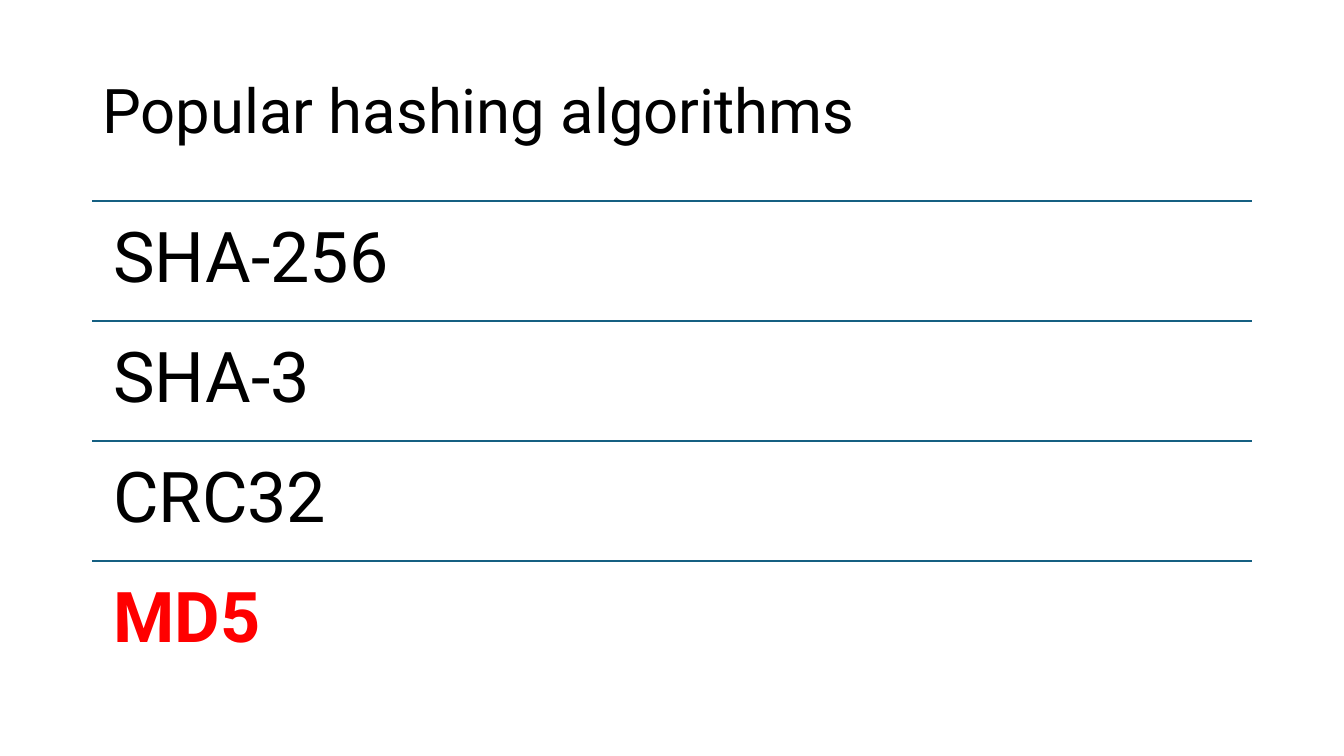
from lxml import etree
from pptx import Presentation, util as u
from pptx.dml.color import RGBColor
from pptx.enum import shapes, text
from pptx.oxml.ns import qn

COLOURS = {"text": "000000", "warning": "FF0000", "rule": "156082"}
LEFT, WIDTH = 2.33, 29.21
LIST_TOP, ROW_HEIGHT = 5.07, 3.02
ALGORITHMS = ["SHA-256", "SHA-3", "CRC32", "MD5"]
BROKEN = {"MD5"}


def set_all(target, values):
    for name, value in values.items():
        setattr(target, name, value)


def add_text(s, words, top, height, size, colour="text", bold=False,
             anchor=text.MSO_ANCHOR.TOP, insets=(0.25, 0.13)):
    """Add a full-width text box; insets are horizontal and vertical, in cm."""
    sp = s.shapes.add_textbox(u.Cm(LEFT), u.Cm(top), u.Cm(WIDTH), u.Cm(height))
    tf = sp.text_frame
    across, down = map(u.Cm, insets)
    set_all(tf, {"word_wrap": True, "vertical_anchor": anchor,
                 "margin_left": across, "margin_right": across,
                 "margin_top": down, "margin_bottom": down})
    p = tf.paragraphs[0]
    p.line_spacing = 0.9
    r = p.add_run()
    r.text = words
    set_all(r.font, {"name": "Roboto", "size": u.Pt(size), "bold": bold})
    r.font.color.rgb = RGBColor.from_string(COLOURS[colour])


def add_rule(s, top):
    line = s.shapes.add_connector(
        shapes.MSO_CONNECTOR.STRAIGHT,
        u.Cm(LEFT), u.Cm(top), u.Cm(LEFT + WIDTH), u.Cm(top))
    line.line.width = u.Pt(1.5)
    line.line.color.rgb = RGBColor.from_string(COLOURS["rule"])
    etree.SubElement(line._element.spPr, qn("a:effectLst"))


def main():
    prs = Presentation()
    set_all(prs, {"slide_width": u.Cm(33.87), "slide_height": u.Cm(19.05)})
    s = prs.slides.add_slide(prs.slide_layouts[6])
    add_text(s, "Popular hashing algorithms", 1.02, 3.68, 44,
             anchor=text.MSO_ANCHOR.MIDDLE)
    for i, name in enumerate(ALGORITHMS):
        top = LIST_TOP + i * ROW_HEIGHT
        broken = name in BROKEN
        add_rule(s, top)
        add_text(s, name, top, ROW_HEIGHT, 50, insets=(0.53, 0.53),
                 colour="warning" if broken else "text", bold=broken)
    prs.save("out.pptx")


if __name__ == "__main__":
    main()
